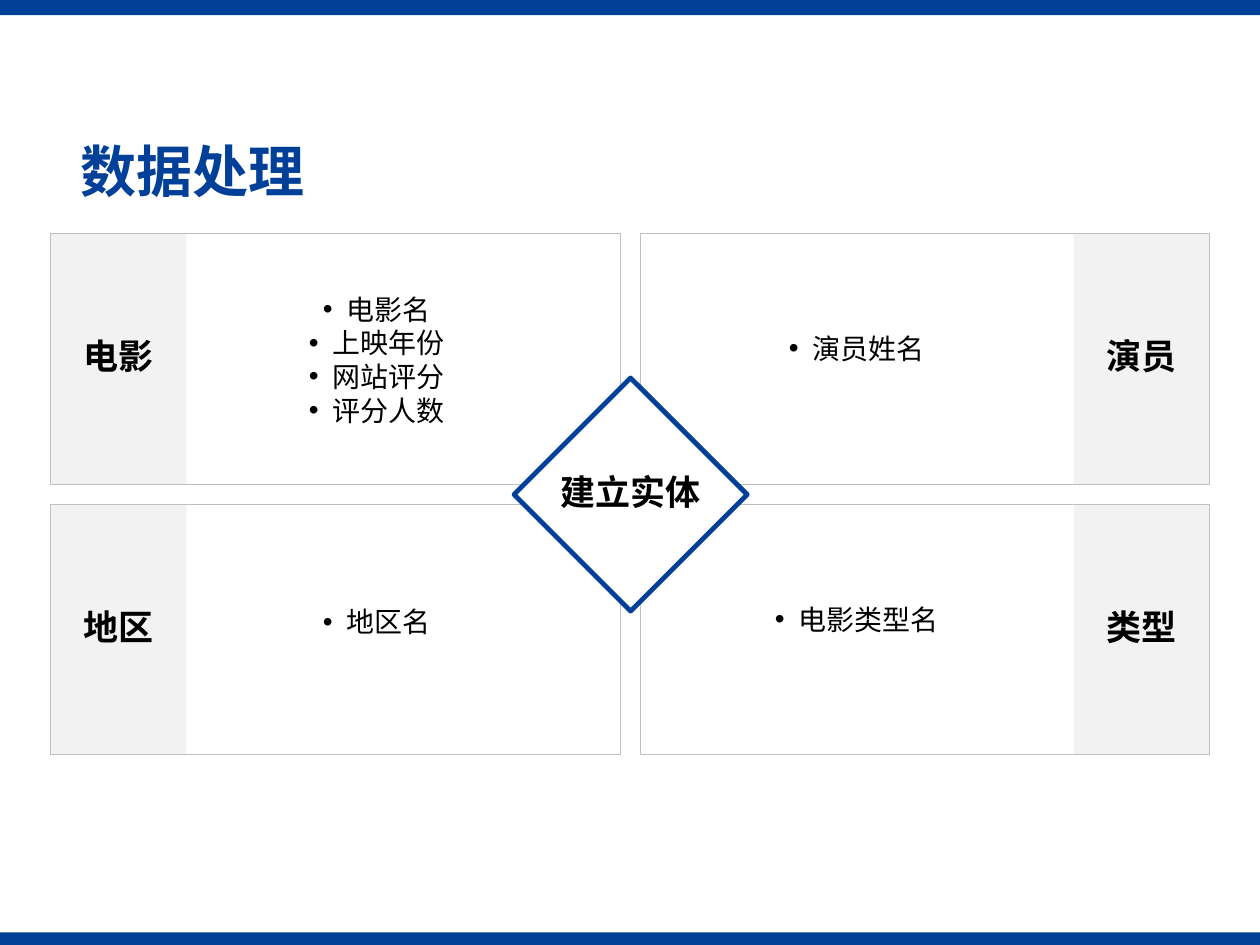
from lxml import etree
from pptx import Presentation
from pptx.dml.color import RGBColor
from pptx.enum import shapes, text
from pptx.oxml.ns import qn
from pptx.util import Inches, Pt

FONT = "Noto Sans CJK SC"
BLUE, GREY, EDGE, BLACK, WHITE = "004098", "F2F2F2", "BFBFBF", "000000", "FFFFFF"
RECT, DIAMOND = shapes.MSO_SHAPE.RECTANGLE, shapes.MSO_SHAPE.DIAMOND
LEFT, MIDDLE = text.PP_ALIGN.LEFT, text.MSO_ANCHOR.MIDDLE
TOP, CENTER = text.MSO_ANCHOR.TOP, text.PP_ALIGN.CENTER

BOX_W, BOX_H, TILE_W = 4.52, 1.99, 1.08
COLUMNS, ROWS = (0.4, 5.08), (1.85, 4)
# name, column, row, list left, list top, attributes
ENTITIES = [
    ("电影", 0, 0, 1.27, 2.27, ["电影名", "上映年份", "网站评分", "评分人数"]),
    ("演员", 1, 0, 5.08, 2.58, ["演员姓名"]),
    ("地区", 0, 1, 1.27, 4.75, ["地区名"]),
    ("类型", 1, 1, 5.08, 4.73, ["电影类型名"]),
]


def color(hex_string):
    return RGBColor.from_string(hex_string)


def set_attrs(obj, **values):
    for name, value in values.items():
        setattr(obj, name, value)


def place(sp, left, top, width, height):
    set_attrs(sp, left=Inches(left), top=Inches(top),
              width=Inches(width), height=Inches(height))


def add_shape(s, kind, at, fill=None, line=None, weight=0.25):
    sp = s.shapes.add_shape(kind, *map(Inches, at))
    sp.shadow.inherit = False
    if fill:
        sp.fill.solid()
        sp.fill.fore_color.rgb = color(fill)
    else:
        sp.fill.background()
    if line:
        sp.line.color.rgb = color(line)
        sp.line.width = Pt(weight)
    else:
        sp.line.fill.background()
    return sp


def add_bullet(p):
    pPr = p._p.get_or_add_pPr()
    pPr.set("marL", str(Inches(0.19)))
    pPr.set("indent", str(-Inches(0.19)))
    etree.SubElement(pPr, qn("a:buFont"), typeface="Arial")
    etree.SubElement(pPr, qn("a:buChar"), char="•")


def write(sp, lines, size, rgb=BLACK, bold=True, align=CENTER, anchor=MIDDLE,
          spacing=1.0, bullets=False):
    tf = sp.text_frame
    set_attrs(tf, word_wrap=True, auto_size=text.MSO_AUTO_SIZE.NONE,
              vertical_anchor=anchor)
    for i, line in enumerate(lines):
        p = tf.add_paragraph() if i else tf.paragraphs[0]
        set_attrs(p, alignment=align, line_spacing=spacing, space_before=Pt(0))
        if bullets:
            add_bullet(p)
        r = p.add_run()
        r.text = line
        set_attrs(r.font, name=FONT, size=Pt(size), bold=bold)
        r.font.color.rgb = color(rgb)
        etree.SubElement(r._r.get_or_add_rPr(), qn("a:ea"), typeface=FONT)


def add_entity(s, body, name, column, row, list_left, list_top, attributes):
    left, top = COLUMNS[column], ROWS[row]
    tile_left = left + column * (BOX_W - TILE_W)
    tile = add_shape(s, RECT, (tile_left, top, TILE_W, BOX_H), GREY)
    write(tile, [name], 20, spacing=0.9)
    add_shape(s, RECT, (left, top, BOX_W, BOX_H), line=EDGE)
    place(body, list_left, list_top, 3.44, 1.25)
    write(body, attributes, 16, bold=False, anchor=TOP, bullets=True)


def add_center(s):
    add_shape(s, DIAMOND, (4.08, 3, 1.85, 1.85), WHITE, BLUE, 2.75)
    label = s.shapes.add_textbox(*map(Inches, (4.18, 3.72, 1.65, 0.36)))
    write(label, ["建立实体"], 20)


def main():
    prs = Presentation()
    set_attrs(prs, slide_width=Inches(10), slide_height=Inches(7.5))
    # The comparison layout has a title and four body placeholders.
    s = prs.slides.add_slide(prs.slide_layouts[4])
    title, *bodies = s.placeholders
    for top, height in ((0, 0.12), (7.4, 0.1)):
        add_shape(s, RECT, (0, top, 10, height), BLUE)
    for body, entity in zip(bodies, ENTITIES):
        add_entity(s, body, *entity)
    add_center(s)
    place(title, 0.54, 1.07, 9.16, 0.63)
    write(title, ["数据处理"], 32, BLUE, align=LEFT, spacing=0.9)
    prs.save("out.pptx")


if __name__ == "__main__":
    main()
